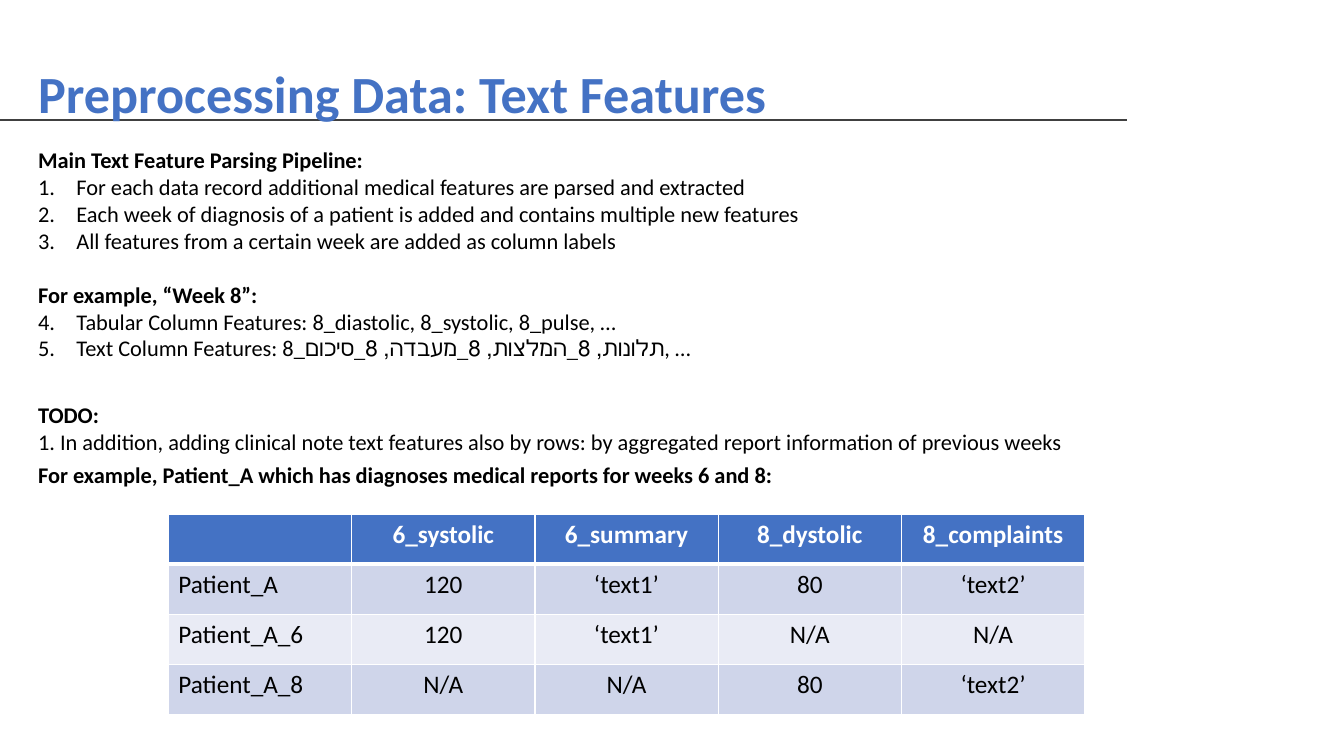
from lxml import etree
from pptx import Presentation
from pptx.dml.color import RGBColor
from pptx.enum.shapes import MSO_CONNECTOR
from pptx.enum.text import MSO_ANCHOR, PP_ALIGN
from pptx.oxml.ns import qn
from pptx.util import Inches, Pt

STRAIGHT = MSO_CONNECTOR.STRAIGHT
MIDDLE = MSO_ANCHOR.MIDDLE
CENTER = PP_ALIGN.CENTER
FONT = "Calibri"
BLUE, BLACK, WHITE, GRAY = "4472C4", "000000", "FFFFFF", "404040"
BANDS = ("CFD5EA", "E9EBF5")
LEFT, TEXT_WIDTH = 0.28, 11.46
INDENT = 0.38

PIPELINE = [
    "For each data record additional medical features are parsed and extracted",
    "Each week of diagnosis of a patient is added and contains multiple new features",
    "All features from a certain week are added as column labels",
]
WEEK_FEATURES = [
    "Tabular Column Features: 8_diastolic, 8_systolic, 8_pulse, …",
    "Text Column Features: 8_תלונות, 8_המלצות, 8_מעבדה, 8_סיכום, …",
]
TODO = "1. In addition, adding clinical note text features also by rows: by aggregated report information of previous weeks"
EXAMPLE = "For example, Patient_A which has diagnoses medical reports for weeks 6 and 8:"
PATIENTS = [
    ["", "6_systolic", "6_summary", "8_dystolic", "8_complaints"],
    ["Patient_A", "120", "‘text1’", "80", "‘text2’"],
    ["Patient_A_6", "120", "‘text1’", "N/A", "N/A"],
    ["Patient_A_8", "N/A", "N/A", "80", "‘text2’"],
]


def color(value):
    return RGBColor.from_string(value)


def add_span(para, text, size=16, bold=False, ink=BLACK):
    span = para.add_run()
    span.text = text
    span.font.name = FONT
    span.font.size = Pt(size)
    span.font.bold = bold
    span.font.color.rgb = color(ink)


def add_frame(page, box):
    frame = page.shapes.add_textbox(*map(Inches, box)).text_frame
    frame.word_wrap = True
    return frame


def number(para, start):
    props = para._p.get_or_add_pPr()
    props.set("marL", str(Inches(INDENT)))
    props.set("indent", str(-Inches(INDENT)))
    etree.SubElement(props, qn("a:buFont"), typeface="+mj-lt")
    etree.SubElement(props, qn("a:buAutoNum"), type="arabicPeriod", startAt=str(start))


def add_title(page, box):
    left, top, width, height = box
    rule = page.shapes.add_connector(
        STRAIGHT, 0, Inches(top + 0.53), Inches(left + 10.9), Inches(top + 0.53))
    rule.line.color.rgb = color(GRAY)
    rule.line.width = Pt(1.5)
    etree.SubElement(rule._element.spPr, qn("a:effectLst"))
    frame = add_frame(page, box)
    frame.vertical_anchor = MIDDLE
    para = frame.paragraphs[0]
    para.line_spacing = 0.9
    para.space_before = Pt(10)
    add_span(para, "Preprocessing Data: Text Features", 37.3, True, BLUE)


def add_pipeline(page, box):
    frame = add_frame(page, box)
    heading = frame.paragraphs[0]
    add_span(heading, "Main Text Feature Parsing Pipeline:", bold=True)
    add_steps(frame, PIPELINE, 1)
    heading = frame.add_paragraph()
    heading.space_before = Pt(19.5)
    add_span(heading, "For example, “Week 8”:", bold=True)
    add_steps(frame, WEEK_FEATURES, len(PIPELINE) + 1)


def add_steps(frame, steps, start):
    for step in steps:
        para = frame.add_paragraph()
        number(para, start)
        add_span(para, step)


def add_note(page, box, heading, detail=None):
    frame = add_frame(page, box)
    add_span(frame.paragraphs[0], heading, bold=True)
    if detail:
        add_span(frame.add_paragraph(), detail)


def add_borders(cell, widths):
    props = cell._tc.get_or_add_tcPr()
    for position, (side, width) in enumerate(widths.items()):
        line = etree.Element(qn(f"a:{side}"), w=str(Pt(width)))
        fill = etree.SubElement(line, qn("a:solidFill"))
        etree.SubElement(fill, qn("a:srgbClr"), val=WHITE)
        props.insert(position, line)


def add_patients(page, box):
    rows, columns = len(PATIENTS), len(PATIENTS[0])
    table = page.shapes.add_table(rows, columns, *map(Inches, box)).table
    for r, values in enumerate(PATIENTS):
        header = r == 0
        for c, value in enumerate(values):
            cell = table.cell(r, c)
            cell.fill.solid()
            cell.fill.fore_color.rgb = color(BLUE if header else BANDS[(r - 1) % 2])
            add_borders(cell, {"lnL": 1, "lnR": 1, "lnT": 3 if r == 1 else 1,
                               "lnB": 3 if header else 1})
            para = cell.text_frame.paragraphs[0]
            if c:
                para.alignment = CENTER
            if value:
                add_span(para, value, 18, header, WHITE if header else BLACK)


def main():
    deck = Presentation()
    deck.slide_width, deck.slide_height = Inches(13.33), Inches(7.5)
    page = deck.slides.add_slide(deck.slide_layouts[6])
    add_title(page, (LEFT, 0.66, 10.71, 0.6))
    add_pipeline(page, (LEFT, 1.4, TEXT_WIDTH, 2.26))
    add_note(page, (LEFT, 3.93, TEXT_WIDTH, 0.64), "TODO:", TODO)
    add_patients(page, (1.67, 5.1, 9.09, 1.99))
    add_note(page, (LEFT, 4.53, TEXT_WIDTH, 0.37), EXAMPLE)
    deck.save("out.pptx")


if __name__ == "__main__":
    main()
